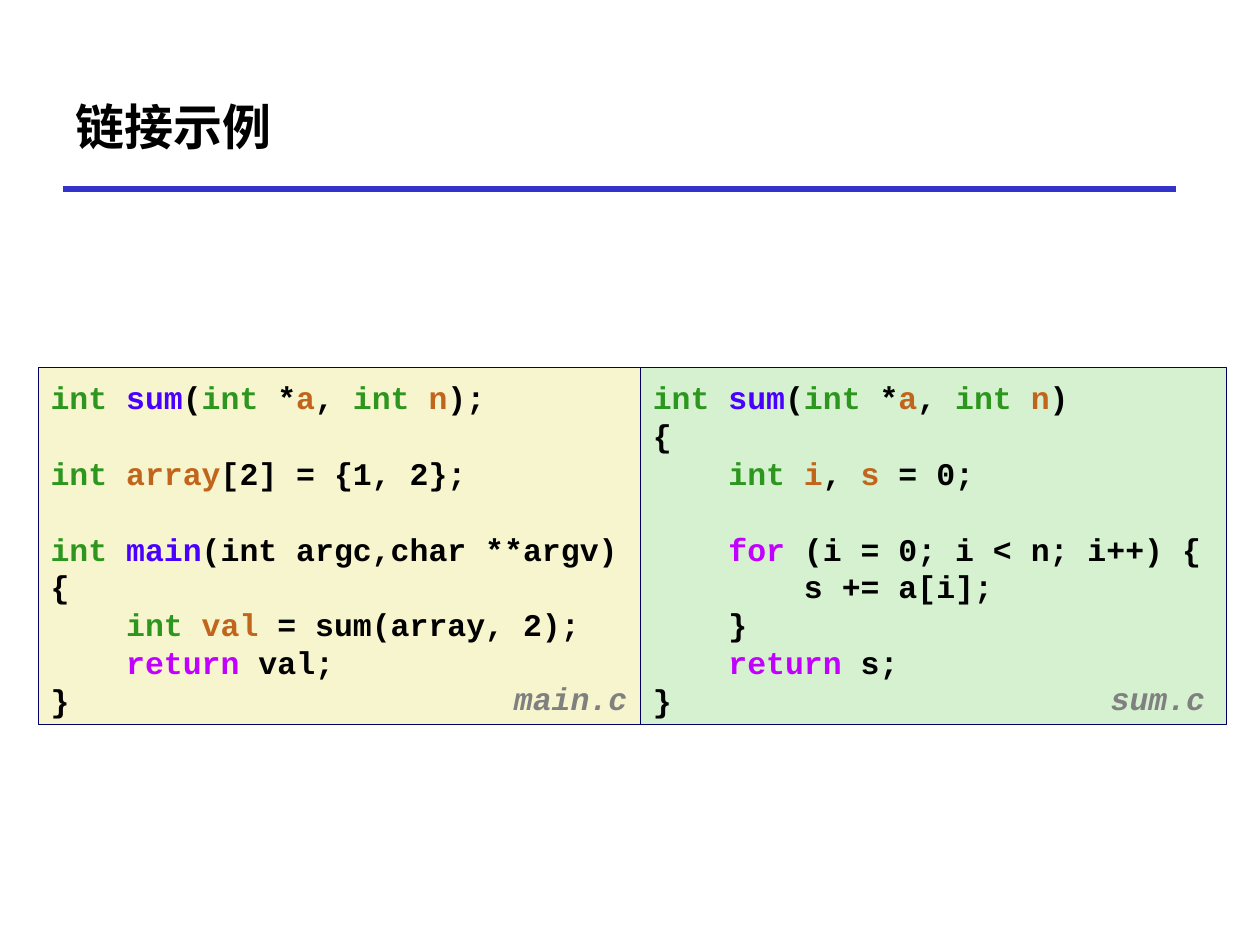
from pptx import Presentation
from pptx.dml.color import RGBColor
from pptx.enum.shapes import MSO_CONNECTOR, MSO_SHAPE
from pptx.enum.text import MSO_ANCHOR, PP_ALIGN
from pptx.oxml import parse_xml
from pptx.util import Cm, Pt

BLACK = RGBColor(0x00, 0x00, 0x00)
GREY = RGBColor(0x80, 0x80, 0x80)
RULE_BLUE = RGBColor(0x33, 0x33, 0xCC)
BORDER = RGBColor(0x00, 0x00, 0x66)
CREAM = RGBColor(0xF7, 0xF5, 0xCD)
MINT = RGBColor(0xD5, 0xF1, 0xCF)
TYPE = RGBColor(0x2D, 0x96, 0x1E)
FUNCTION = RGBColor(0x4A, 0x00, 0xFF)
VARIABLE = RGBColor(0xC1, 0x65, 0x1C)
KEYWORD = RGBColor(0xC2, 0x00, 0xFF)

CODE_FONT = "Courier New"
LINE_HEIGHT = Pt(21.6)
EMPTY_EFFECTS = '<a:effectLst xmlns:a="http://schemas.openxmlformats.org/drawingml/2006/main"/>'

SUM_SIGNATURE = [
    ("int ", TYPE), ("sum", FUNCTION), ("(", BLACK), ("int", TYPE), (" *", BLACK),
    ("a", VARIABLE), (", ", BLACK), ("int ", TYPE), ("n", VARIABLE),
]
MAIN_CODE = [
    SUM_SIGNATURE + [(");", BLACK)],
    [],
    [("int ", TYPE), ("array", VARIABLE), ("[2] = {1, 2};", BLACK)],
    [],
    [("int ", TYPE), ("main", FUNCTION), ("(int argc,char **argv)", BLACK)],
    [("{", BLACK)],
    [("    int ", TYPE), ("val", VARIABLE), (" = sum(array, 2);", BLACK)],
    [("    return", KEYWORD), (" val;", BLACK)],
    [("}", BLACK)],
]
SUM_CODE = [
    SUM_SIGNATURE + [(")", BLACK)],
    [("{", BLACK)],
    [("    int ", TYPE), ("i", VARIABLE), (", ", BLACK), ("s", VARIABLE), (" = 0;", BLACK)],
    [],
    [("    for", KEYWORD), (" (i = 0; i < n; i++) {", BLACK)],
    [("        s += a[i];", BLACK)],
    [("    }", BLACK)],
    [("    return", KEYWORD), (" s;", BLACK)],
    [("}", BLACK)],
]


def add_text(paragraph, text, font=CODE_FONT, size=18, color=BLACK, italic=False):
    """Append a bold run with the given format to a paragraph."""
    run = paragraph.add_run()
    run.text = text
    run.font.name = font
    run.font.size = Pt(size)
    run.font.bold = True
    run.font.italic = italic
    run.font.color.rgb = color


def add_header(slide, text, left, top, width, height):
    """Place the title and the rule along the bottom of its box."""
    title = slide.shapes.title
    title.left, title.top, title.width, title.height = left, top, width, height
    title.text_frame.vertical_anchor = MSO_ANCHOR.MIDDLE
    paragraph = title.text_frame.paragraphs[0]
    paragraph.alignment = PP_ALIGN.LEFT
    add_text(paragraph, text, font="Comic Neue", size=28)

    bottom = top + height
    rule = slide.shapes.add_connector(MSO_CONNECTOR.STRAIGHT, left, bottom, left + width, bottom)
    rule.line.color.rgb = RULE_BLUE
    rule.line.width = Pt(3)
    rule._element.spPr.append(parse_xml(EMPTY_EFFECTS))


def fill_code(text_frame, lines):
    """Write coloured code lines, turning each empty line into space before the next."""
    paragraph = text_frame.paragraphs[0]
    gap = Pt(0)
    for index, tokens in enumerate(lines):
        if not tokens:
            gap += LINE_HEIGHT
            continue
        if index:
            paragraph = text_frame.add_paragraph()
        paragraph.alignment = PP_ALIGN.LEFT
        paragraph.line_spacing = LINE_HEIGHT
        paragraph.space_before = Pt(gap / Pt(1))
        gap = Pt(0)
        for text, color in tokens:
            add_text(paragraph, text, color=color)


def add_code_panel(slide, lines, file_name, fill, label_width, left, top, width, height):
    """Place a code box with its file name in the lower right corner."""
    panel = slide.shapes.add_shape(MSO_SHAPE.RECTANGLE, left, top, width, height)
    panel.shadow.inherit = False
    panel.fill.solid()
    panel.fill.fore_color.rgb = fill
    panel.line.color.rgb = BORDER
    panel.line.width = Pt(0.25)
    text_frame = panel.text_frame
    text_frame.word_wrap = False
    text_frame.vertical_anchor = MSO_ANCHOR.TOP
    text_frame.margin_top = Cm(0.23)
    text_frame.margin_bottom = Cm(0)
    fill_code(text_frame, lines)

    label_height = Cm(0.98)
    label = slide.shapes.add_textbox(
        left + width - label_width, top + height - label_height, label_width, label_height
    )
    label.text_frame.word_wrap = True
    paragraph = label.text_frame.paragraphs[0]
    paragraph.line_spacing = 0.94
    add_text(paragraph, file_name, color=GREY, italic=True)


def main():
    """Build the slide and save it."""
    presentation = Presentation()
    presentation.slide_width = Cm(25.4)
    presentation.slide_height = Cm(19.05)
    slide = presentation.slides.add_slide(presentation.slide_layouts[5])

    add_header(slide, "链接示例", Cm(1.27), Cm(1.27), Cm(22.43), Cm(2.54))

    left, top, height = Cm(0.77), Cm(7.4), Cm(7.2)
    main_width, sum_width = Cm(12.14), Cm(11.81)
    add_code_panel(slide, MAIN_CODE, "main.c", CREAM, Cm(2.8), left, top, main_width, height)
    add_code_panel(
        slide, SUM_CODE, "sum.c", MINT, Cm(2.58), left + main_width, top, sum_width, height
    )
    presentation.save("out.pptx")


if __name__ == "__main__":
    main()
